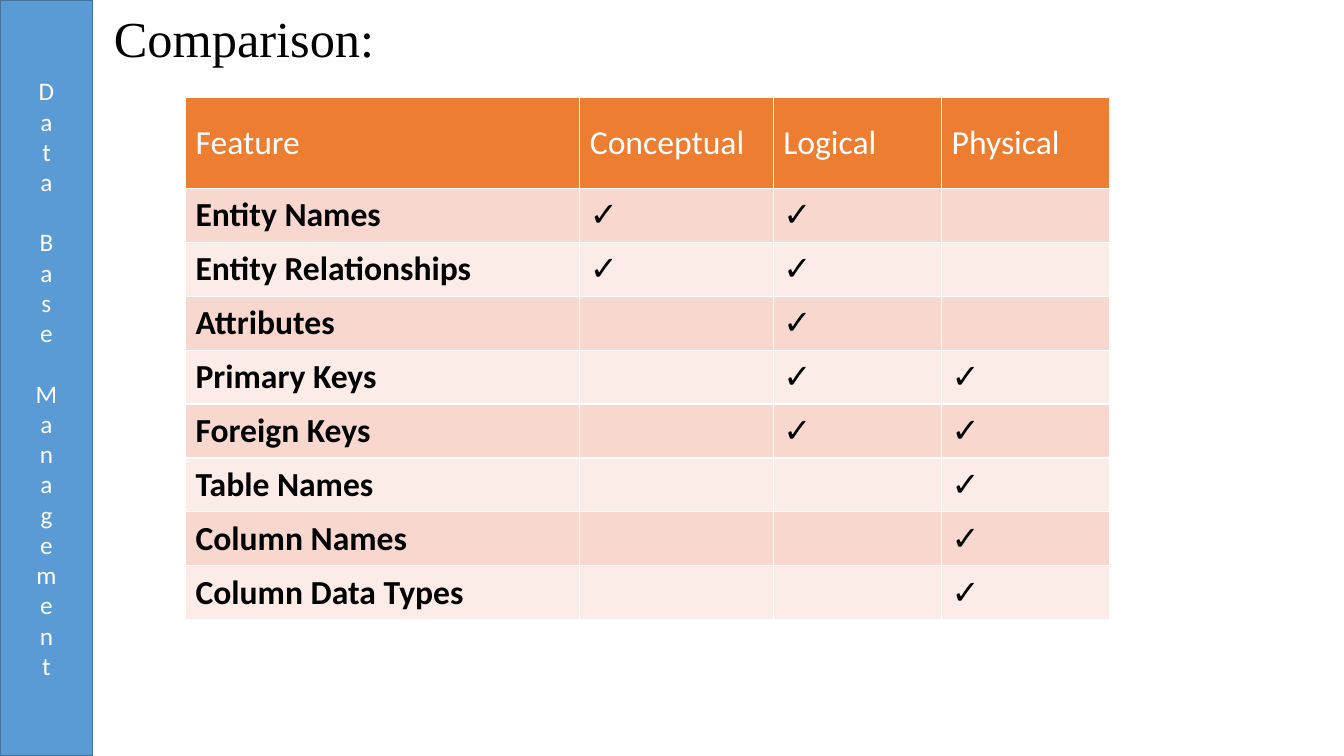
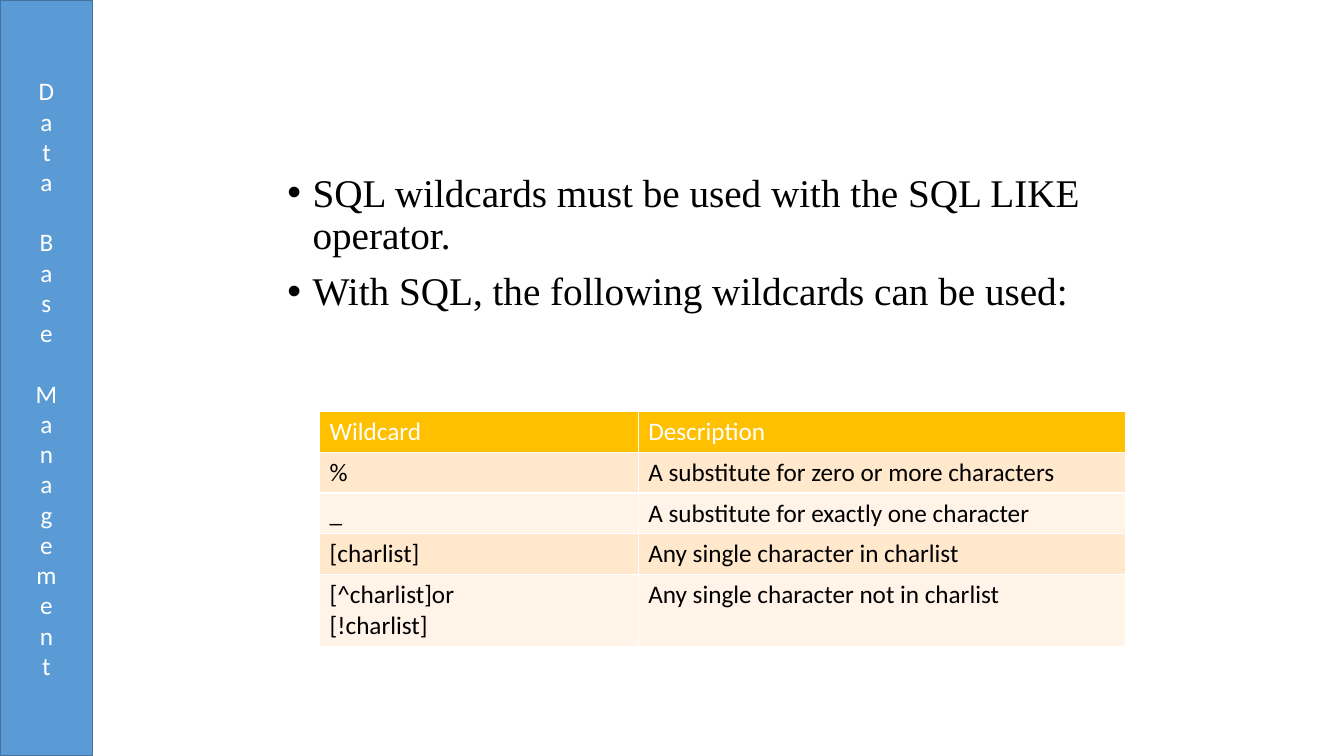
from lxml.etree import SubElement
from pptx import Presentation
from pptx.dml.color import RGBColor
from pptx.enum.shapes import MSO_SHAPE
from pptx.enum.text import MSO_ANCHOR, MSO_AUTO_SIZE, PP_ALIGN
from pptx.oxml.ns import qn
from pptx.util import Inches, Pt

BLACK = RGBColor(0x00, 0x00, 0x00)
WHITE = RGBColor(0xFF, 0xFF, 0xFF)
BAND_BLUE = RGBColor(0x5B, 0x9B, 0xD5)
BAND_EDGE = RGBColor(0x43, 0x73, 0x9E)
ORANGE = RGBColor(0xED, 0x7D, 0x31)
ORANGE_ROWS = (RGBColor(0xF8, 0xD7, 0xCE), RGBColor(0xFC, 0xEC, 0xE8))
GOLD = RGBColor(0xFF, 0xC0, 0x00)
GOLD_ROWS = (RGBColor(0xFF, 0xE8, 0xCC), RGBColor(0xFF, 0xF4, 0xE7))
TEXT_FONT = "Times New Roman"
TABLE_FONT = "Calibri"
SLIDE_HEIGHT = 7.5

BAND_TEXT = "Data Base Management"
COMPARISON_TITLE = "Comparison:"
MODELS = ["Conceptual", "Logical", "Physical"]
FEATURES = [
    ("Entity Names", {"Conceptual", "Logical"}),
    ("Entity Relationships", {"Conceptual", "Logical"}),
    ("Attributes", {"Logical"}),
    ("Primary Keys", {"Logical", "Physical"}),
    ("Foreign Keys", {"Logical", "Physical"}),
    ("Table Names", {"Physical"}),
    ("Column Names", {"Physical"}),
    ("Column Data Types", {"Physical"}),
]
WILDCARD_POINTS = [
    "SQL wildcards must be used with the SQL LIKE operator.",
    "With SQL, the following wildcards can be used:",
]
WILDCARDS = [
    ("Wildcard", "Description"),
    ("%", "A substitute for zero or more characters"),
    ("_", "A substitute for exactly one character"),
    ("[charlist]", "Any single character in charlist"),
    ("[^charlist]or\n[!charlist]", "Any single character not in charlist"),
]


def add_text(paragraph, text, size, font_name, color, bold=False):
    run = paragraph.add_run()
    run.text = text
    font = run.font
    font.size, font.name, font.bold = Pt(size), font_name, bold
    font.color.rgb = color


def place(shape, left, top, width, height):
    shape.left, shape.top = Inches(left), Inches(top)
    shape.width, shape.height = Inches(width), Inches(height)


def fill_placeholder(placeholder, box, lines, size, anchor, bulleted=False):
    place(placeholder, *box)
    frame = placeholder.text_frame
    frame.auto_size = MSO_AUTO_SIZE.NONE
    frame.vertical_anchor = anchor
    for index, line in enumerate(lines):
        paragraph = frame.add_paragraph() if index else frame.paragraphs[0]
        if bulleted:
            properties = paragraph._p.get_or_add_pPr()
            properties.set("marL", str(Inches(0.25)))
            properties.set("indent", str(-Inches(0.25)))
            SubElement(properties, qn("a:buFont")).set("typeface", "Arial")
            SubElement(properties, qn("a:buChar")).set("char", "•")
        paragraph.alignment = PP_ALIGN.LEFT
        paragraph.line_spacing = 0.9
        paragraph.space_before = Pt(10 if index else 0)
        add_text(paragraph, line, size, TEXT_FONT, BLACK)


def add_grid(slide, rows, left, top, widths, heights, header_fill, row_fills,
             size, anchor, bold_labels=False):
    frame = slide.shapes.add_table(
        len(rows), len(widths), Inches(left), Inches(top),
        Inches(sum(widths)), Inches(sum(heights)))
    table = frame.table
    for column, width in zip(table.columns, widths):
        column.width = Inches(width)
    for row_index, (values, height) in enumerate(zip(rows, heights)):
        table.rows[row_index].height = Inches(height)
        is_header = row_index == 0
        for column_index, value in enumerate(values):
            cell = table.cell(row_index, column_index)
            cell.vertical_anchor = anchor
            cell.fill.solid()
            cell.fill.fore_color.rgb = header_fill if is_header else row_fills[(row_index - 1) % 2]
            if not value:
                continue
            bold = bold_labels and column_index == 0 and not is_header
            for line_index, line in enumerate(value.split("\n")):
                text_frame = cell.text_frame
                paragraph = text_frame.add_paragraph() if line_index else text_frame.paragraphs[0]
                add_text(paragraph, line, size, TABLE_FONT, WHITE if is_header else BLACK, bold)


def add_band(slide):
    band = slide.shapes.add_shape(
        MSO_SHAPE.RECTANGLE, 0, 0, Inches(0.92), Inches(SLIDE_HEIGHT))
    band.shadow.inherit = False
    band.fill.solid()
    band.fill.fore_color.rgb = BAND_BLUE
    band.line.color.rgb = BAND_EDGE
    band.line.width = Pt(1)
    frame = band.text_frame
    frame.vertical_anchor = MSO_ANCHOR.MIDDLE
    frame._txBody.bodyPr.set("vert", "wordArtVert")
    paragraph = frame.paragraphs[0]
    paragraph.alignment = PP_ALIGN.CENTER
    add_text(paragraph, BAND_TEXT, 18, TABLE_FONT, WHITE)


def build_comparison(slide):
    fill_placeholder(slide.shapes.title, (1.03, 0.12, 12.11, 0.58),
                     [COMPARISON_TITLE], 36, MSO_ANCHOR.MIDDLE)
    rows = [["Feature"] + MODELS]
    for feature, covered in FEATURES:
        rows.append([feature] + ["✓" if model in covered else "" for model in MODELS])
    header_height, table_height = 0.9, 5.18
    row_height = (table_height - header_height) / len(FEATURES)
    add_grid(slide, rows, 1.84, 0.97, [3.91, 1.92, 1.67, 1.67],
             [header_height] + [row_height] * len(FEATURES),
             ORANGE, ORANGE_ROWS, 24, MSO_ANCHOR.MIDDLE, bold_labels=True)


def build_wildcards(slide):
    title = slide.shapes.title.element
    title.getparent().remove(title)
    fill_placeholder(slide.placeholders[1], (2.75, 1.67, 8.5, 2.22),
                     WILDCARD_POINTS, 28, MSO_ANCHOR.TOP, bulleted=True)
    last_height, table_height = 0.7, 2.32
    single_rows = len(WILDCARDS) - 1
    row_height = (table_height - last_height) / single_rows
    add_grid(slide, WILDCARDS, 3.17, 4.08, [3.16, 4.83],
             [row_height] * single_rows + [last_height],
             GOLD, GOLD_ROWS, 18, MSO_ANCHOR.TOP)


def main():
    presentation = Presentation()
    presentation.slide_width = Inches(13.33)
    presentation.slide_height = Inches(SLIDE_HEIGHT)
    for layout_name, build in (("Title Only", build_comparison),
                               ("Title and Content", build_wildcards)):
        layout = presentation.slide_layouts.get_by_name(layout_name)
        slide = presentation.slides.add_slide(layout)
        add_band(slide)
        build(slide)
    presentation.save("out.pptx")


if __name__ == "__main__":
    main()
